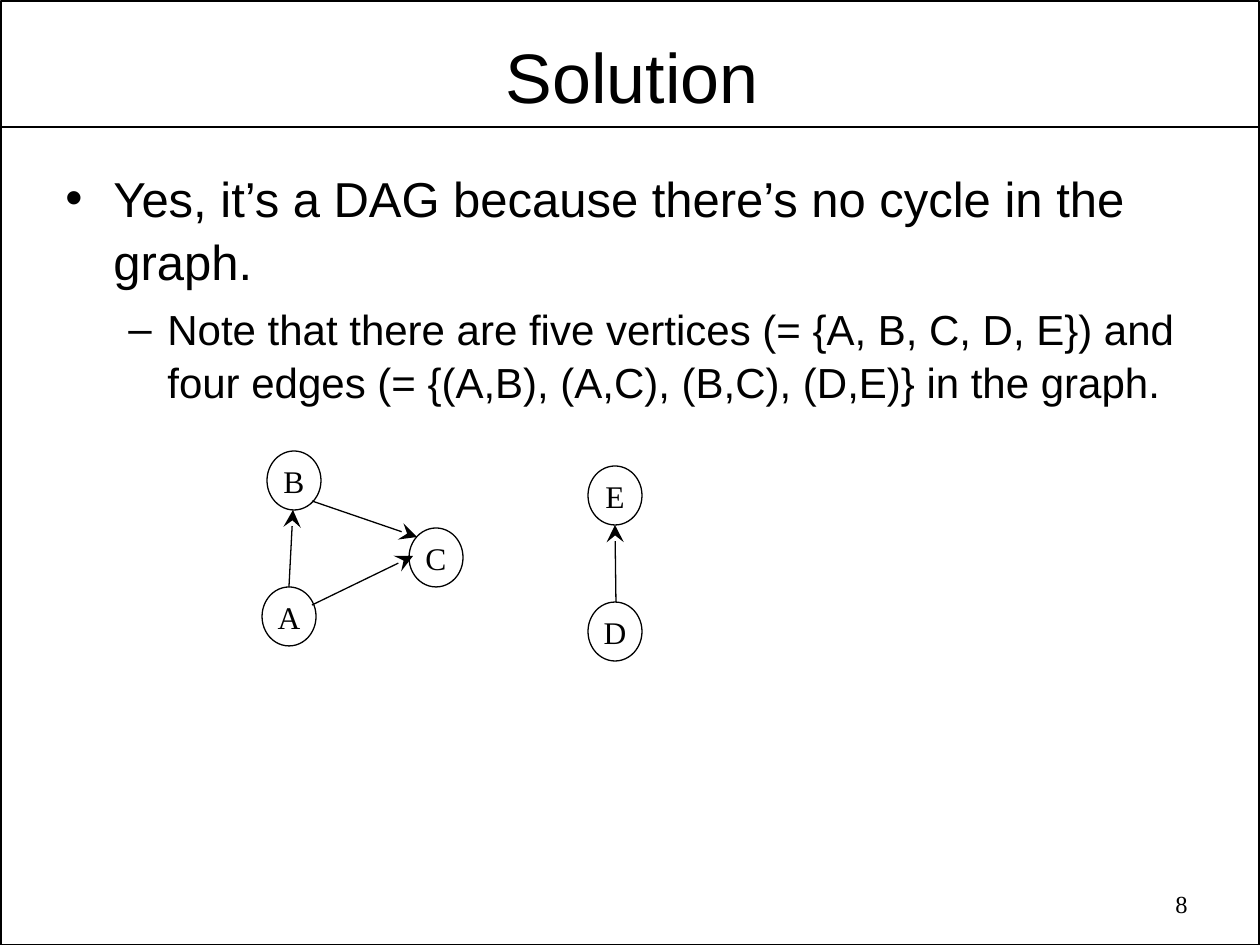
from lxml import etree
from pptx import Presentation
from pptx.dml.color import RGBColor
from pptx.enum.shapes import MSO_CONNECTOR, MSO_SHAPE
from pptx.enum.text import MSO_ANCHOR, PP_ALIGN
from pptx.oxml.ns import qn
from pptx.util import Emu, Pt

BLACK = RGBColor(0, 0, 0)
RECTANGLE, OVAL = MSO_SHAPE.RECTANGLE, MSO_SHAPE.OVAL
STRAIGHT = MSO_CONNECTOR.STRAIGHT
TOP, MIDDLE = MSO_ANCHOR.TOP, MSO_ANCHOR.MIDDLE
LEFT, CENTER, RIGHT = PP_ALIGN.LEFT, PP_ALIGN.CENTER, PP_ALIGN.RIGHT
SANS, SERIF = "Arial", "Times New Roman"
PX_PER_INCH = 126
LINE_SPACING = 1.06
NODE_WIDTH, NODE_HEIGHT = 54, 59

BULLETS = [
    ("Yes, it’s a DAG because there’s no cycle in the graph.", 28, "•", 48, 48, 7),
    ("Note that there are five vertices (= {A, B, C, D, E}) and four edges "
     "(= {(A,B), (A,C), (B,C), (D,E)} in the graph.", 24, "–", 102, 39, 6),
]
NODES = {"A": (0, 136), "B": (5, 0), "C": (147, 77), "D": (326, 151), "E": (326, 15)}
EDGES = [
    ((27, 136), (31, 59)),
    ((50, 154), (151, 105)),
    ((50, 50), (155, 86)),
    ((354, 151), (353, 74)),
]


def px(value):
    return Emu(round(value * 914400 / PX_PER_INCH))


def set_margins(text_frame, horizontal, vertical):
    text_frame.margin_left = text_frame.margin_right = px(horizontal)
    text_frame.margin_top = text_frame.margin_bottom = px(vertical)


def format_paragraph(paragraph, font_name, size, alignment):
    paragraph.alignment = alignment
    for run in paragraph.runs:
        run.font.name = font_name
        run.font.size = Pt(size)
        run.font.color.rgb = BLACK


def add_outline(slide, kind, left, top, width, height, weight):
    shape = slide.shapes.add_shape(kind, px(left), px(top), px(width), px(height))
    shape.shadow.inherit = False
    shape.fill.background()
    shape.line.color.rgb = BLACK
    shape.line.width = Pt(weight)
    return shape


def add_line(slide, start, end, weight):
    connector = slide.shapes.add_connector(STRAIGHT, *map(px, start + end))
    connector.line.color.rgb = BLACK
    connector.line.width = Pt(weight)
    etree.SubElement(connector._element.spPr, qn("a:effectLst"))
    return connector


def add_frame(slide, left, top, width, height, header_height):
    add_outline(slide, RECTANGLE, left, top, width, height, 1)
    divider = top + header_height
    add_line(slide, (left, divider), (left + width, divider), 1)


def place_title(slide, text, left, top, width, height):
    title = slide.shapes.title
    title.left, title.top, title.width, title.height = map(px, (left, top, width, height))
    text_frame = title.text_frame
    text_frame.text = text
    text_frame.vertical_anchor = TOP
    set_margins(text_frame, 9, 4)
    paragraph = text_frame.paragraphs[0]
    paragraph.line_spacing = LINE_SPACING
    format_paragraph(paragraph, SANS, 40, CENTER)


def add_text_box(slide, left, top, width, height):
    text_frame = slide.shapes.add_textbox(*map(px, (left, top, width, height))).text_frame
    text_frame.word_wrap = True
    return text_frame


def add_body(slide, left, top, width, height):
    text_frame = add_text_box(slide, left, top, width, height)
    for index, (text, size, bullet, margin, hanging, space) in enumerate(BULLETS):
        paragraph = text_frame.add_paragraph() if index else text_frame.paragraphs[0]
        paragraph.text = text
        paragraph.level = index
        paragraph.space_before = Pt(space)
        paragraph.line_spacing = LINE_SPACING
        format_paragraph(paragraph, SANS, size, LEFT)
        properties = paragraph._p.get_or_add_pPr()
        properties.set("marL", str(px(margin)))
        properties.set("indent", str(-px(hanging)))
        etree.SubElement(properties, qn("a:buFont")).set("typeface", SANS)
        etree.SubElement(properties, qn("a:buChar")).set("char", bullet)


def add_slide_number(slide, text, left, top, width, height):
    text_frame = add_text_box(slide, left, top, width, height)
    text_frame.text = text
    format_paragraph(text_frame.paragraphs[0], SERIF, 14, RIGHT)


def add_node(slide, label, left, top):
    node = add_outline(slide, OVAL, left, top, NODE_WIDTH, NODE_HEIGHT, 0.75)
    text_frame = node.text_frame
    text_frame.text = label
    text_frame.word_wrap = False
    text_frame.vertical_anchor = MIDDLE
    set_margins(text_frame, 0, 0)
    format_paragraph(text_frame.paragraphs[0], SERIF, 18, CENTER)


def add_graph(slide, left, top):
    for label, (x, y) in NODES.items():
        add_node(slide, label, left + x, top + y)
    for start, end in EDGES:
        points = [(left + x, top + y) for x, y in (start, end)]
        edge = add_line(slide, *points, 0.75)
        tail = etree.SubElement(edge.line._get_or_add_ln(), qn("a:tailEnd"))
        for name, value in (("type", "stealth"), ("w", "lg"), ("len", "lg")):
            tail.set(name, value)


def main():
    presentation = Presentation()
    presentation.slide_width, presentation.slide_height = px(1260), px(945)
    slide = presentation.slides.add_slide(presentation.slide_layouts[5])
    add_frame(slide, 1, 1, 1258, 944, 126)
    add_body(slide, 53, 159, 1155, 692)
    place_title(slide, "Solution", 67, 24, 1130, 91)
    add_slide_number(slide, "8", 905, 883, 295, 45)
    add_graph(slide, 262, 451)
    presentation.save("out.pptx")


if __name__ == "__main__":
    main()
